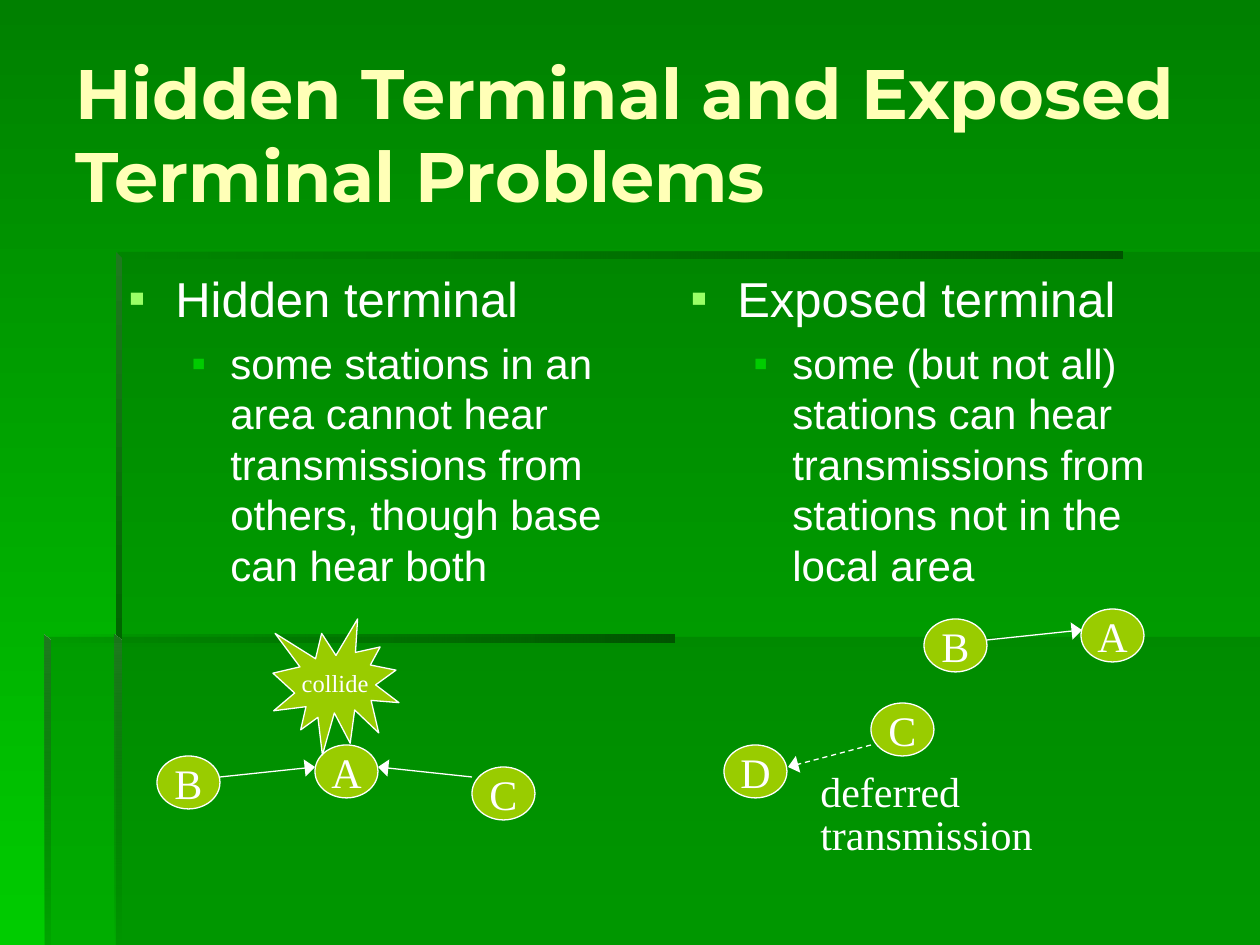
from pptx import Presentation
from pptx.dml.color import RGBColor
from pptx.enum.dml import MSO_LINE
from pptx.enum.shapes import MSO_CONNECTOR, MSO_SHAPE
from pptx.enum.text import MSO_ANCHOR, MSO_AUTO_SIZE, PP_ALIGN
from pptx.oxml.ns import qn
from pptx.util import Pt
from lxml.etree import SubElement

PX = 914400 / 126
WIDTH, HEIGHT = 1260, 945

WHITE = RGBColor(0xFF, 0xFF, 0xFF)
CREAM = RGBColor(0xFF, 0xFF, 0xB7)
LIME = RGBColor(0x99, 0xCC, 0x00)
LIGHT_GREEN = RGBColor(0x99, 0xFF, 0x66)
GREEN = RGBColor(0x00, 0x80, 0x00)
BRIGHT_GREEN = RGBColor(0x00, 0xCC, 0x00)
DARK_GREEN = RGBColor(0x00, 0x66, 0x00)
DEEP_GREEN = RGBColor(0x00, 0x54, 0x00)
EDGE_GREEN = RGBColor(0x1F, 0x79, 0x1F)

ACROSS, DOWN = 0, 270  # gradient angles, counter-clockwise


def emu(*lengths):
    return [round(length * PX) for length in lengths]


class SlideBuilder:
    heading_font = "Montserrat"
    body_font = "Arial"
    diagram_font = "Times New Roman"
    node_size = (63, 53)

    def __init__(self, slide):
        self.slide = slide
        self.shapes = slide.shapes

    def style_font(self, paragraph, name, size, color=WHITE, bold=False):
        font = paragraph.font
        font.name, font.size, font.bold = name, Pt(size), bold
        font.color.rgb = color

    def gradient(self, fill, start, end, angle):
        fill.gradient()
        fill.gradient_angle = angle
        for stop, color in zip(fill.gradient_stops, (start, end)):
            stop.color.rgb = color

    def panel(self, points, colors, opacities, angle=None):
        """Borderless outline with one plain colour or a two-colour gradient."""
        builder = self.shapes.build_freeform(*points[0], scale=PX)
        builder.add_line_segments(points[1:], close=True)
        shape = builder.convert_to_shape()
        shape.shadow.inherit = False
        if angle is None:
            shape.fill.solid()
            shape.fill.fore_color.rgb = colors[0]
        else:
            self.gradient(shape.fill, *colors, angle)
        for color, opacity in zip(shape._element.spPr.iter(qn("a:srgbClr")), opacities):
            if opacity < 100:
                SubElement(color, qn("a:alpha")).set("val", str(opacity * 1000))
        shape.line.fill.background()

    def text_box(self, left, top, width, height, wrap=True):
        frame = self.shapes.add_textbox(*emu(left, top, width, height)).text_frame
        frame.word_wrap = wrap
        return frame

    def title(self, text, *box):
        frame = self.text_box(*box)
        frame.vertical_anchor = MSO_ANCHOR.MIDDLE
        frame.text = text
        self.style_font(frame.paragraphs[0], self.heading_font, 40, CREAM, True)

    def bullet(self, paragraph, text, level, margin, hang, size, color):
        paragraph.text = text
        paragraph.level = level
        properties = paragraph._p.get_or_add_pPr()
        indent, hanging = emu(margin, -hang)
        properties.set("marL", str(indent))
        properties.set("indent", str(hanging))
        bullet_color = SubElement(properties, qn("a:buClr"))
        SubElement(bullet_color, qn("a:srgbClr")).set("val", str(color))
        SubElement(properties, qn("a:buFont")).set("typeface", self.body_font)
        SubElement(properties, qn("a:buChar")).set("char", "▪")
        self.style_font(paragraph, self.body_font, size)

    def definition(self, term, meaning, *box):
        frame = self.text_box(*box)
        self.bullet(frame.paragraphs[0], term, 0, 47, 47, 28, LIGHT_GREEN)
        detail = frame.add_paragraph()
        self.bullet(detail, meaning, 1, 102, 39, 24, BRIGHT_GREEN)
        detail.space_before = Pt(6)

    def label_shape(self, preset, text, size, *box):
        shape = self.shapes.add_shape(preset, *emu(*box))
        shape.shadow.inherit = False
        shape.fill.solid()
        shape.fill.fore_color.rgb = LIME
        shape.line.color.rgb = WHITE
        shape.line.width = Pt(0.75)
        frame = shape.text_frame
        frame.word_wrap = False
        frame.vertical_anchor = MSO_ANCHOR.MIDDLE
        frame.text = text
        frame.paragraphs[0].alignment = PP_ALIGN.CENTER
        self.style_font(frame.paragraphs[0], self.diagram_font, size)

    def station(self, name, left, top):
        self.label_shape(MSO_SHAPE.OVAL, name, 24, left, top, *self.node_size)

    def arrow(self, start, end, dashed=False):
        connector = self.shapes.add_connector(
            MSO_CONNECTOR.STRAIGHT, *emu(*start, *end))
        connector.line.color.rgb = WHITE
        connector.line.width = Pt(0.75)
        if dashed:
            connector.line.dash_style = MSO_LINE.DASH
        properties = connector._element.spPr
        head = SubElement(properties.find(qn("a:ln")), qn("a:tailEnd"))
        head.set("type", "triangle")
        head.set("w", "lg")
        SubElement(properties, qn("a:effectLst"))

    def caption(self, lines, *box):
        frame = self.text_box(*box, wrap=False)
        frame.auto_size = MSO_AUTO_SIZE.SHAPE_TO_FIT_TEXT
        frame.text = "\n".join(lines)
        for paragraph in frame.paragraphs:
            paragraph.line_spacing = 0.85
            self.style_font(paragraph, self.diagram_font, 24)


def main():
    prs = Presentation()
    prs.slide_width, prs.slide_height = emu(WIDTH, HEIGHT)
    page = SlideBuilder(prs.slides.add_slide(prs.slide_layouts[6]))

    # Background with two translucent panels
    page.gradient(page.slide.background.fill, GREEN, BRIGHT_GREEN, DOWN)
    page.panel([(116, 637), (116, HEIGHT), (WIDTH, HEIGHT), (WIDTH, 637)],
               [DARK_GREEN], [30])
    page.panel([(118, 637), (45, 637), (45, HEIGHT), (WIDTH, HEIGHT),
                (WIDTH, 252), (118, 252)], [DARK_GREEN], [30])

    # Bevelled edges: horizontal bars fade in, vertical bars darken downwards
    def horizontal_edge(left, top, right):
        page.panel([(left, top), (left, top + 7), (right, top + 7), (right, top)],
                   [DARK_GREEN, DEEP_GREEN], [0, 100], ACROSS)

    def vertical_edge(left, top, bottom, end_opacity):
        page.panel([(left, top), (left, bottom), (left + 6, bottom), (left + 6, top + 6)],
                   [EDGE_GREEN, DARK_GREEN], [100, end_opacity], DOWN)

    horizontal_edge(116, 252, 1123)
    vertical_edge(116, 252, 643, 100)
    vertical_edge(115, 635, HEIGHT, 0)
    horizontal_edge(44, 635, 674)
    vertical_edge(44, 635, HEIGHT, 10)

    # Title and definitions
    page.title("Hidden Terminal and Exposed Terminal Problems", 63, 34, 1155, 198)
    page.definition(
        "Hidden terminal",
        "some stations in an area cannot hear transmissions from others, "
        "though base can hear both", 116, 262, 541, 341)
    page.definition(
        "Exposed terminal",
        "some (but not all) stations can hear transmissions from stations "
        "not in the local area", 678, 262, 541, 341)

    # Hidden terminal diagram
    page.station("B", 157, 756)
    page.station("A", 315, 745)
    page.station("C", 472, 767)
    page.arrow((220, 777), (315, 767))
    page.arrow((472, 777), (378, 767))
    page.label_shape(MSO_SHAPE.EXPLOSION1, "collide", 14, 273, 619, 126, 136)

    # Exposed terminal diagram
    page.station("B", 924, 619)
    page.station("A", 1081, 609)
    page.station("C", 871, 703)
    page.station("D", 724, 745)
    page.arrow((987, 640), (1082, 630))
    page.arrow((871, 745), (788, 767), dashed=True)
    page.caption(["deferred", "transmission"], 808, 767, 240, 98)

    prs.save("out.pptx")


if __name__ == "__main__":
    main()
